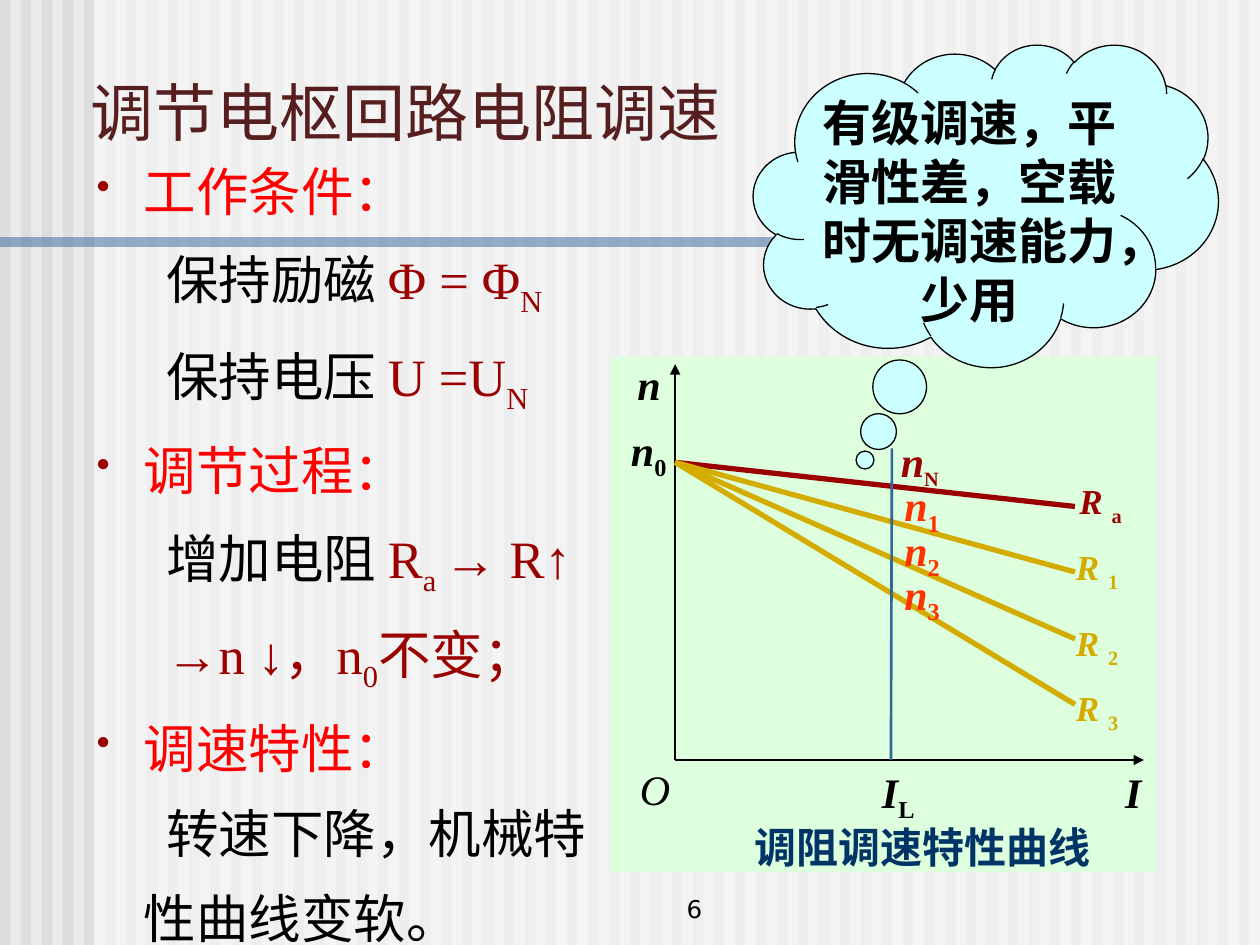
from lxml import etree
from pptx import Presentation
from pptx.dml.color import RGBColor
from pptx.enum import shapes, text
from pptx.oxml import ns
from pptx.util import Cm, Pt

SERIF, SANS = "Times New Roman", "DejaVu Sans"
BLACK, RED, DARK_RED, GOLD, ORANGE, BLUE = (
    "000000", "FF0000", "9A0000", "D4AC00", "FF3300", "336699")
WIDTH, HEIGHT, STRIPES = 25.4, 19.05, 60

TITLE = "调节电枢回路电阻调速"
CLOUD = "有级调速，平滑性差，空载时无调速能力，少用"
# (has bullet, [(words, colour, is subscript)])
BODY = [
    (True, [("工作条件：", RED, False)]),
    (False, [("保持励磁 ", BLACK, False), ("Φ = Φ", DARK_RED, False), ("N", DARK_RED, True)]),
    (False, [("保持电压 ", BLACK, False), ("U =U", DARK_RED, False), ("N", DARK_RED, True)]),
    (True, [("调节过程：", RED, False)]),
    (False, [("增加电阻 ", BLACK, False), ("R", DARK_RED, False), ("a ", DARK_RED, True),
             ("→ R↑", DARK_RED, False)]),
    (False, [("→n ↓，n", DARK_RED, False), ("0", DARK_RED, True), ("不变；", DARK_RED, False)]),
    (True, [("调速特性：", RED, False)]),
    (False, [("转速下降，机械特性曲线变软。", BLACK, False)]),
]

# Chart geometry in cm
AXIS_X, AXIS_TOP, AXIS_Y, AXIS_RIGHT = 13.61, 7.34, 15.32, 23.06
NO_LOAD_Y, CURVE_END_X = 9.32, 21.67
CURVES = [(10.21, DARK_RED), (11.53, GOLD), (12.88, GOLD), (14.2, GOLD)]
# (symbol, subscript, left, top, width, size, subscript size, colour)
LABELS = [
    ("n", "", 12.6, 7.11, 1, 24, 24, BLACK),
    ("n", "0", 12.47, 8.43, 1.27, 24, 24, BLACK),
    ("I", "", 22.43, 15.32, 0.84, 24, 24, BLACK),
    ("I", "L", 17.53, 15.32, 1.22, 24, 24, BLACK),
    ("R ", "a", 21.51, 9.55, 1.45, 20, 20, DARK_RED),
    ("R ", "1", 21.44, 10.87, 1.47, 20, 20, GOLD),
    ("R ", "2", 21.44, 12.4, 1.47, 20, 20, GOLD),
    ("R ", "3", 21.44, 13.72, 1.47, 20, 20, GOLD),
    ("n", "N", 17.91, 8.66, 1.32, 24, 20, DARK_RED),
] + [("n", str(i), 17.98, 8.66 + 0.89 * i, 1.27, 24, 24, ORANGE) for i in (1, 2, 3)]


def color(value):
    return RGBColor.from_string(value)


def add_xml(parent, tag, **attributes):
    return etree.SubElement(parent, ns.qn(tag), attributes)


def add_block(slide, kind, box, fill, opacity=100, outline=None):
    block = slide.shapes.add_shape(kind, *map(Cm, box))
    block.shadow.inherit = False
    block.fill.solid()
    block.fill.fore_color.rgb = color(fill)
    if opacity < 100:
        tint = block.fill._xPr.find(".//" + ns.qn("a:srgbClr"))
        add_xml(tint, "a:alpha", val=str(opacity * 1000))
    if outline:
        block.line.color.rgb = color(outline)
        block.line.width = Pt(0.75)
    else:
        block.line.fill.background()
    return block


def add_line(slide, start, end, stroke, width, arrow=False):
    line = slide.shapes.add_connector(
        shapes.MSO_CONNECTOR.STRAIGHT, *map(Cm, start + end))
    line.line.color.rgb = color(stroke)
    line.line.width = Pt(width)
    if arrow:
        add_xml(line.line._get_or_add_ln(), "a:tailEnd", type="triangle")
    add_xml(line._element.spPr, "a:effectLst")


def add_run(paragraph, words, font, size, fill, bold=False, italic=False, subscript=False):
    run = paragraph.add_run()
    run.text = words
    run.font.name, run.font.size = font, Pt(size)
    run.font.bold, run.font.italic = bold, italic
    run.font.color.rgb = color(fill)
    if subscript:
        run._r.get_or_add_rPr().set("baseline", "-25000")


def add_frame(slide, box, wrap=False):
    frame = slide.shapes.add_textbox(*map(Cm, box)).text_frame
    frame.word_wrap = wrap
    return frame


def draw_backdrop(slide):
    slide.background.fill.solid()
    slide.background.fill.fore_color.rgb = color("EAEAEA")
    rectangle = shapes.MSO_SHAPE.RECTANGLE
    pitch = WIDTH / STRIPES
    for i in range(STRIPES):
        add_block(slide, rectangle, (i * pitch, 0, pitch / 2, HEIGHT), "DDDDDD")
    add_block(slide, rectangle, (1.9, 0, WIDTH - 1.9, HEIGHT), "FFFFFF", 50)
    add_block(slide, rectangle, (0, 4.78, 19.3, 0.2), BLUE, 50)


def write_title(slide):
    title = slide.shapes.title
    title.left, title.top, title.width, title.height = map(Cm, (1.57, 1.5, 13.36, 1.5))
    slide.shapes._spTree.append(title._element)  # in front of the backdrop
    frame = title.text_frame
    frame.vertical_anchor = text.MSO_ANCHOR.MIDDLE
    frame.auto_size = text.MSO_AUTO_SIZE.NONE
    paragraph = frame.paragraphs[0]
    paragraph.alignment = text.PP_ALIGN.LEFT
    add_run(paragraph, TITLE, SANS, 36, "561E1F")


def write_body(slide):
    frame = add_frame(slide, (1.7, 2.64, 11.15, 15.39), wrap=True)
    for i, (bulleted, parts) in enumerate(BODY):
        paragraph = frame.add_paragraph() if i else frame.paragraphs[0]
        paragraph.line_spacing = 1.35
        properties = paragraph._p.get_or_add_pPr()
        properties.set("marL", str(Cm(0.95)))
        properties.set("indent", str(Cm(-0.95 if bulleted else 0.45)))
        if bulleted:
            add_xml(add_xml(properties, "a:buClr"), "a:srgbClr", val=DARK_RED)
            add_xml(properties, "a:buSzPct", val="75000")
            add_xml(properties, "a:buChar", char="•")
        for words, fill, subscript in parts:
            add_run(paragraph, words, SERIF, 30, fill, subscript=subscript)


def draw_chart(slide):
    add_block(slide, shapes.MSO_SHAPE.RECTANGLE, (12.32, 7.19, 11, 10.39), "DDFFDD")
    origin = (AXIS_X, AXIS_Y)
    for tip in ((AXIS_X, AXIS_TOP), (AXIS_RIGHT, AXIS_Y)):
        add_line(slide, origin, tip, BLACK, 0.75, arrow=True)
    for end_y, stroke in CURVES:
        add_line(slide, (AXIS_X, NO_LOAD_Y), (CURVE_END_X, end_y), stroke, 3)
    add_line(slide, (17.98, 9.04), (17.96, AXIS_Y), BLUE, 1.5)

    for symbol, subscript, left, top, width, size, sub_size, fill in LABELS:
        paragraph = add_frame(slide, (left, top, width, size * 0.053)).paragraphs[0]
        add_run(paragraph, symbol, SERIF, size, fill, bold=True, italic=True)
        if subscript:
            add_run(paragraph, subscript, SERIF, sub_size, fill, bold=True, subscript=True)
    origin_label = add_frame(slide, (12.65, 15.27, 1.12, 1.27)).paragraphs[0]
    add_run(origin_label, "O", SERIF, 24, BLACK, italic=True)
    caption = add_frame(slide, (14.96, 16.43, 7.29, 1.27)).paragraphs[0]
    add_run(caption, "调阻调速特性曲线", SERIF, 24, "003366", bold=True)


def draw_cloud(slide):
    cloud = add_block(slide, shapes.MSO_SHAPE.CLOUD_CALLOUT, (15.19, 0.89, 9.37, 6.5),
                      "CCFFFF", outline=BLACK)
    cloud.adjustments[0], cloud.adjustments[1] = -0.26, 0.79
    frame = cloud.text_frame
    frame.margin_left = frame.margin_right = frame.margin_top = frame.margin_bottom = 0
    frame.vertical_anchor = text.MSO_ANCHOR.TOP
    frame.word_wrap = True
    paragraph = frame.paragraphs[0]
    paragraph.alignment = text.PP_ALIGN.CENTER
    add_run(paragraph, CLOUD, "Arial", 28, BLACK, bold=True)


def write_page_number(slide):
    frame = add_frame(slide, (9.98, 17.48, 8.04, 1.27), wrap=True)
    frame.vertical_anchor = text.MSO_ANCHOR.BOTTOM
    frame.paragraphs[0].alignment = text.PP_ALIGN.CENTER
    add_run(frame.paragraphs[0], "6", SANS, 14, BLACK)


def main():
    deck = Presentation()
    deck.slide_width, deck.slide_height = Cm(WIDTH), Cm(HEIGHT)
    slide = deck.slides.add_slide(deck.slide_layouts[5])
    for draw in (draw_backdrop, write_title, write_body, write_page_number,
                 draw_chart, draw_cloud):
        draw(slide)
    deck.save("out.pptx")


if __name__ == "__main__":
    main()
